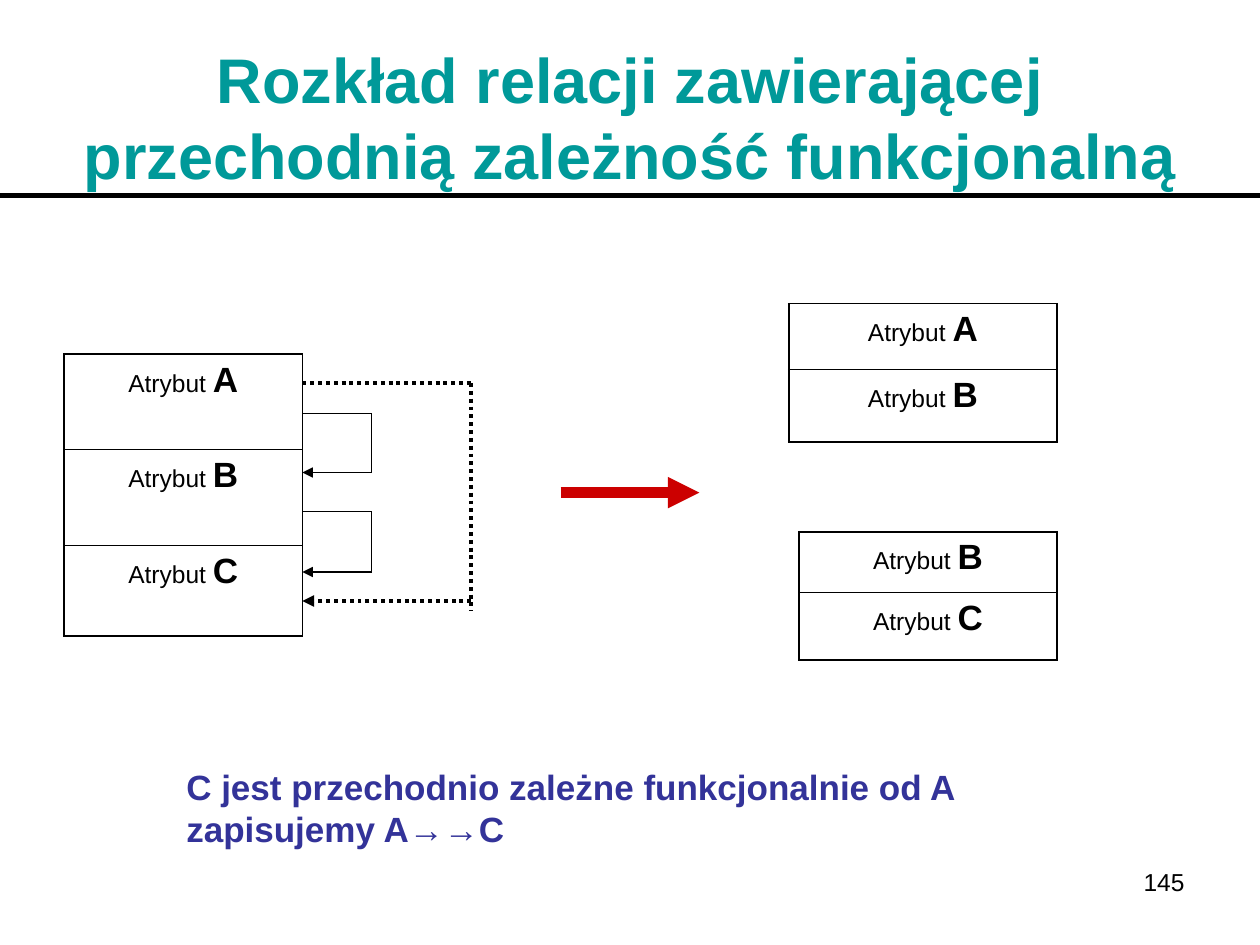
import pptx
import pptx.util
import pptx.dml.color
import pptx.enum.dml
import pptx.enum.shapes
import pptx.enum.text
import pptx.oxml
import pptx.oxml.ns
from lxml import etree

COLUMNS, ROWS = 10, 7.5
WIDTH, HEIGHT = pptx.util.Inches(10), pptx.util.Inches(7.5)
ALIGN = pptx.enum.text.PP_ALIGN
ANCHOR = pptx.enum.text.MSO_ANCHOR
BLACK, TEAL, NAVY, RED = "000000", "009999", "333399", "CC0000"


def across(columns):
    return round(WIDTH * columns / COLUMNS)


def down(rows):
    return round(HEIGHT * rows / ROWS)


def box(left, top, width, height):
    return across(left), down(top), across(width), down(height)


def color(hex_value):
    return pptx.dml.color.RGBColor.from_string(hex_value)


def add_run(paragraph, words, size, ink=BLACK, bold=False):
    run = paragraph.add_run()
    run.text = words
    run.font.name = "Arial"
    run.font.size = pptx.util.Pt(size)
    run.font.bold = bold
    run.font.color.rgb = color(ink)


def add_title(slide, words):
    title = slide.shapes.title
    title.left, title.top, title.width, title.height = box(0.5, 0.3, 9, 1.25)
    frame = title.text_frame
    frame.word_wrap = True
    frame.auto_size = pptx.enum.text.MSO_AUTO_SIZE.NONE
    frame.vertical_anchor = ANCHOR.MIDDLE
    heading = frame.paragraphs[0]
    heading.alignment = ALIGN.CENTER
    add_run(heading, words, 36, TEAL, True)


def add_text(slide, place, words, size, ink, bold, align, space=0):
    frame = slide.shapes.add_textbox(*box(*place)).text_frame
    frame.word_wrap = True
    paragraph = frame.paragraphs[0]
    paragraph.alignment = align
    paragraph.space_before = pptx.util.Pt(space)
    add_run(paragraph, words, size, ink, bold)


def add_border(cell, side, points):
    properties = cell._tc.get_or_add_tcPr()
    border = etree.SubElement(properties, pptx.oxml.ns.qn("a:ln" + side),
                              w=str(pptx.util.Pt(points)))
    fill = etree.SubElement(border, pptx.oxml.ns.qn("a:solidFill"))
    etree.SubElement(fill, pptx.oxml.ns.qn("a:srgbClr"), val=BLACK)


def add_relation(slide, left, top, width, heights, attributes):
    frame = slide.shapes.add_table(len(attributes), 1, *box(left, top, width, sum(heights)))
    relation = frame.table
    relation.first_row = False
    relation.horz_banding = False
    relation.columns[0].width = across(width)
    last = len(attributes) - 1
    for index, (attribute, height) in enumerate(zip(attributes, heights)):
        relation.rows[index].height = down(height)
        cell = relation.cell(index, 0)
        outer, inner = 1.08, 0.45
        add_border(cell, "L", outer)
        add_border(cell, "R", outer)
        add_border(cell, "T", outer if index == 0 else inner)
        add_border(cell, "B", outer if index == last else inner)
        cell.fill.background()
        paragraph = cell.text_frame.paragraphs[0]
        paragraph.alignment = ALIGN.CENTER
        paragraph.space_before = pptx.util.Pt(5)
        add_run(paragraph, "Atrybut ", 14)
        add_run(paragraph, attribute, 20, bold=True)


def add_line(slide, start, end, points, ink=BLACK, dotted=False, arrow=False):
    connector = slide.shapes.add_connector(
        pptx.enum.shapes.MSO_CONNECTOR.STRAIGHT,
        across(start[0]), down(start[1]), across(end[0]), down(end[1]))
    line = connector.line
    line.width = pptx.util.Pt(points)
    line.color.rgb = color(ink)
    if dotted:
        line.dash_style = pptx.enum.dml.MSO_LINE.ROUND_DOT
    if arrow:
        etree.SubElement(line._get_or_add_ln(), pptx.oxml.ns.qn("a:tailEnd"), type="triangle")
    etree.SubElement(connector._element.spPr, pptx.oxml.ns.qn("a:effectLst"))


def add_dependency(slide, edge, bend, top, bottom, points, dotted=False, overhang=0):
    add_line(slide, (edge, top), (bend, top), points, dotted=dotted)
    add_line(slide, (bend, top), (bend, bottom + overhang), points, dotted=dotted)
    add_line(slide, (bend, bottom), (edge, bottom), points, dotted=dotted, arrow=True)


def main():
    deck = pptx.Presentation()
    deck.slide_width, deck.slide_height = WIDTH, HEIGHT
    slide = deck.slides.add_slide(deck.slide_layouts[5])

    add_title(slide, "Rozkład relacji zawierającej przechodnią zależność funkcjonalną")
    add_line(slide, (0, 1.55), (COLUMNS, 1.55), 3)

    add_relation(slide, 0.51, 2.81, 1.89, (0.76, 0.76, 0.72), "ABC")
    add_relation(slide, 6.26, 2.41, 2.13, (0.52, 0.58), "AB")
    add_relation(slide, 6.34, 4.22, 2.05, (0.48, 0.54), "BC")

    edge = 2.4
    for top, bottom in ((3.28, 3.75), (4.06, 4.54)):
        add_dependency(slide, edge, 2.95, top, bottom, 0.74)
    add_dependency(slide, edge, 3.74, 3.04, 4.77, 2.24, dotted=True, overhang=0.08)
    add_line(slide, (4.45, 3.91), (5.55, 3.91), 6, RED, arrow=True)

    add_text(slide, (1.38, 6.03, 7.32, 0.77),
             "C jest przechodnio zależne funkcjonalnie od A zapisujemy A→→C",
             20, NAVY, True, ALIGN.LEFT, 12.5)
    add_text(slide, (7.17, 6.83, 2.33, 0.52), "145", 14, BLACK, False, ALIGN.RIGHT)

    deck.save("out.pptx")


main()
